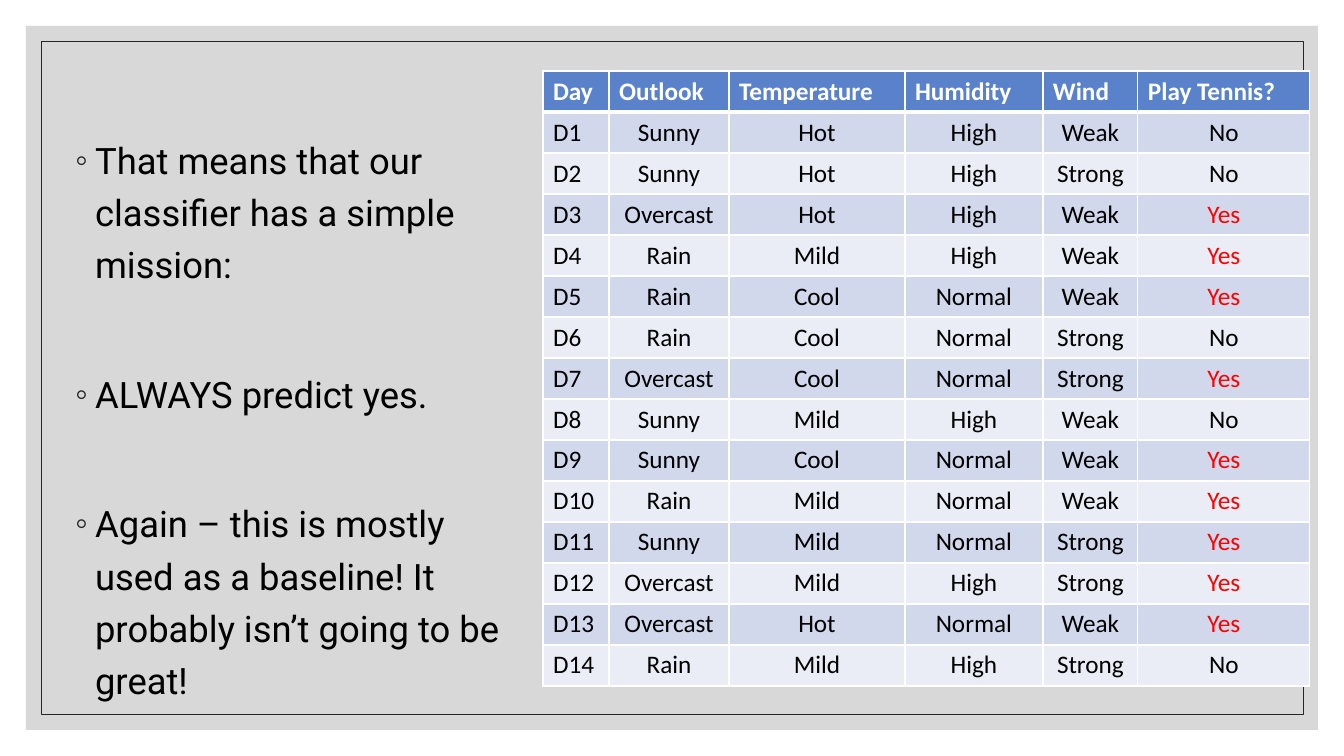
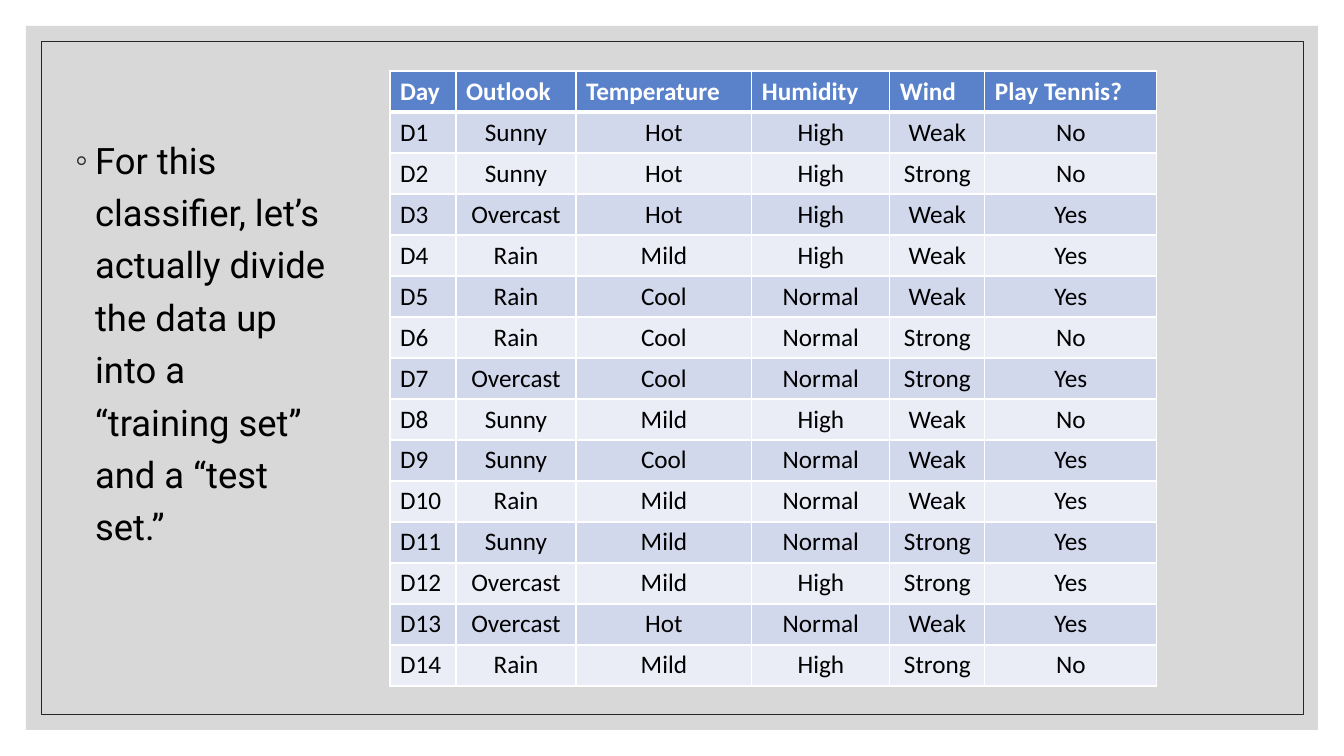
from lxml import etree
from pptx import Presentation
from pptx import util as u
from pptx.dml.color import RGBColor
from pptx.enum import shapes, text
from pptx.oxml.ns import qn

# Content
HEADER = ["Day", "Outlook", "Temperature", "Humidity", "Wind", "Play Tennis?"]
DAYS = [
    ("Sunny", "Hot", "High", "Weak", "No"),
    ("Sunny", "Hot", "High", "Strong", "No"),
    ("Overcast", "Hot", "High", "Weak", "Yes"),
    ("Rain", "Mild", "High", "Weak", "Yes"),
    ("Rain", "Cool", "Normal", "Weak", "Yes"),
    ("Rain", "Cool", "Normal", "Strong", "No"),
    ("Overcast", "Cool", "Normal", "Strong", "Yes"),
    ("Sunny", "Mild", "High", "Weak", "No"),
    ("Sunny", "Cool", "Normal", "Weak", "Yes"),
    ("Rain", "Mild", "Normal", "Weak", "Yes"),
    ("Sunny", "Mild", "Normal", "Strong", "Yes"),
    ("Overcast", "Mild", "High", "Strong", "Yes"),
    ("Overcast", "Hot", "Normal", "Weak", "Yes"),
    ("Rain", "Mild", "High", "Strong", "No"),
]
TENNIS = [HEADER] + [(f"D{n}", *day) for n, day in enumerate(DAYS, 1)]

# Lengths in px
SLIDES = [
    {
        "points": [
            "That means that our classifier has a simple mission:",
            "ALWAYS predict yes.",
            "Again – this is mostly used as a baseline! It probably isn’t going to be great!",
        ],
        "points_width": 478,
        "table_left": 543,
        "highlight": "Yes",
    },
    {
        "points": [
            "For this classifier, let’s actually divide the data up into a "
            "“training set” and a “test set.”",
        ],
        "points_width": 272,
        "table_left": 390,
        "highlight": None,
    },
]
SLIDE_SIZE = (1344, 756)
PANEL = (26, 26, 1292, 704)
FRAME = (41, 41, 1262, 673)
POINTS_LEFT, POINTS_TOP, POINTS_HEIGHT = 65, 124, 588
INDENT = 20
TABLE_TOP, ROW_HEIGHT = 71, 41
COLUMNS = [66, 120, 176, 138, 95, 172]

# Shared look
WHITE = RGBColor(0xFF, 0xFF, 0xFF)
BLACK = RGBColor(0x00, 0x00, 0x00)
RED = RGBColor(0xFF, 0x00, 0x00)
GREY = RGBColor(0xBF, 0xBF, 0xBF)
CHARCOAL = RGBColor(0x26, 0x26, 0x26)
HEADER_BLUE = RGBColor(0x5A, 0x82, 0xCB)
BANDS = [RGBColor(0xEA, 0xED, 0xF6), RGBColor(0xD2, 0xD8, 0xEC)]
POINT_FONT, TABLE_FONT = "Roboto", "Calibri"


def px(length):
    return u.Emu(round(length * 914400 / 100.8))


def add_run(paragraph, words, font, size, color, bold=False):
    run = paragraph.add_run()
    run.text = words
    run.font.name, run.font.size, run.font.bold = font, u.Pt(size), bold
    run.font.color.rgb = color


def sub(parent, tag, **attributes):
    return etree.SubElement(parent, qn(tag), **attributes)


def decorate_layout(layout, slide):
    """Draw the panel and frame, then move them behind the layout's parts."""
    panel, frame = [
        slide.shapes.add_shape(shapes.MSO_SHAPE.RECTANGLE, *map(px, box))
        for box in (PANEL, FRAME)
    ]
    panel.fill.solid()
    panel.fill.fore_color.rgb = GREY
    sub(panel._element.spPr.find(".//" + qn("a:srgbClr")), "a:alpha", val="60000")
    panel.line.fill.background()
    frame.fill.background()
    frame.line.color.rgb = CHARCOAL
    frame.line.width = u.Pt(0.5)
    for place, part in enumerate((panel, frame)):
        part.shadow.inherit = False
        part._element.nvSpPr.cNvPr.set("id", str(100 + place))
        layout.shapes._spTree.insert(2 + place, part._element)


def fill_points(body, points, width):
    body.left, body.top = px(POINTS_LEFT), px(POINTS_TOP)
    body.width, body.height = px(width), px(POINTS_HEIGHT)
    frame = body.text_frame
    frame.word_wrap = True
    frame.auto_size = text.MSO_AUTO_SIZE.NONE
    frame.vertical_anchor = text.MSO_ANCHOR.TOP
    for n, point in enumerate(points):
        paragraph = frame.add_paragraph() if n else frame.paragraphs[0]
        props = paragraph._p.get_or_add_pPr()
        props.set("marL", str(px(INDENT)))
        props.set("indent", str(-px(INDENT)))
        sub(sub(props, "a:buClr"), "a:srgbClr", val=str(CHARCOAL))
        sub(props, "a:buChar", char="◦")
        paragraph.line_spacing = 1.2
        paragraph.space_before = u.Pt(55 if n else 0)
        add_run(paragraph, point, POINT_FONT, 26, BLACK)


def add_borders(cell, row):
    widths = {"L": 1, "R": 1, "T": 3 if row == 1 else 1, "B": 3 if row == 0 else 1}
    props = cell._tc.get_or_add_tcPr()
    for side, width in widths.items():
        line = sub(props, "a:ln" + side, w=str(u.Pt(width)))
        sub(sub(line, "a:solidFill"), "a:srgbClr", val=str(WHITE))


def add_tennis_table(slide, left, highlight):
    table = slide.shapes.add_table(
        len(TENNIS), len(COLUMNS), px(left), px(TABLE_TOP),
        px(sum(COLUMNS)), px(ROW_HEIGHT * len(TENNIS)),
    ).table
    for column, width in zip(table.columns, COLUMNS):
        column.width = px(width)
    for r, values in enumerate(TENNIS):
        table.rows[r].height = px(ROW_HEIGHT)
        for c, value in enumerate(values):
            cell = table.cell(r, c)
            add_borders(cell, r)
            cell.fill.solid()
            cell.fill.fore_color.rgb = BANDS[r % 2] if r else HEADER_BLUE
            paragraph = cell.text_frame.paragraphs[0]
            if r and c:
                paragraph.alignment = text.PP_ALIGN.CENTER
            color = WHITE if r == 0 else RED if value == highlight else BLACK
            add_run(paragraph, value, TABLE_FONT, 18, color, bold=r == 0)


def main():
    deck = Presentation()
    deck.slide_width, deck.slide_height = map(px, SLIDE_SIZE)
    layout = deck.slide_layouts[1]
    for n, content in enumerate(SLIDES):
        slide = deck.slides.add_slide(layout)
        if n == 0:
            decorate_layout(layout, slide)
        title = slide.shapes.title._element
        title.getparent().remove(title)
        fill_points(slide.placeholders[1], content["points"], content["points_width"])
        add_tennis_table(slide, content["table_left"], content["highlight"])
    deck.save("out.pptx")


if __name__ == "__main__":
    main()
